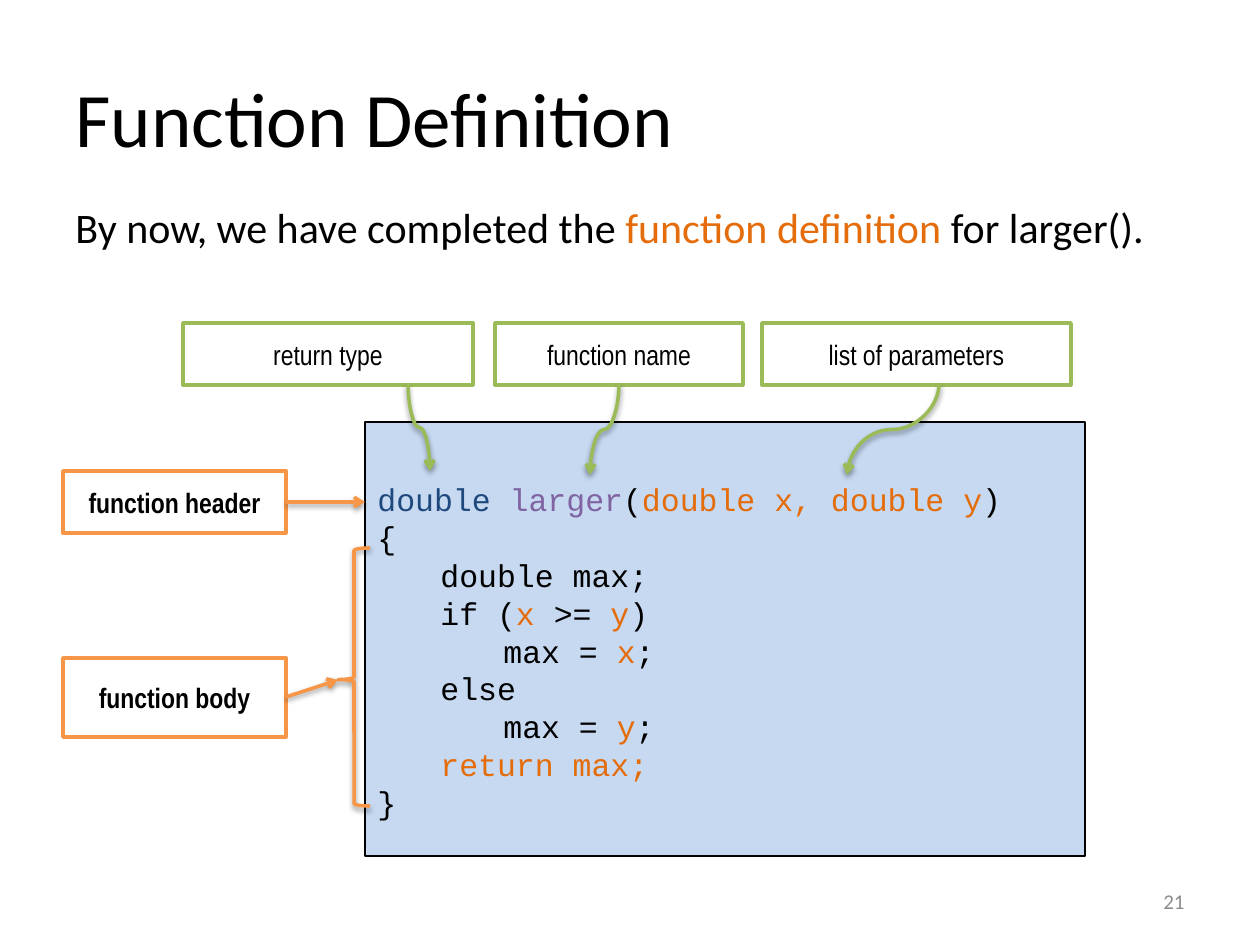
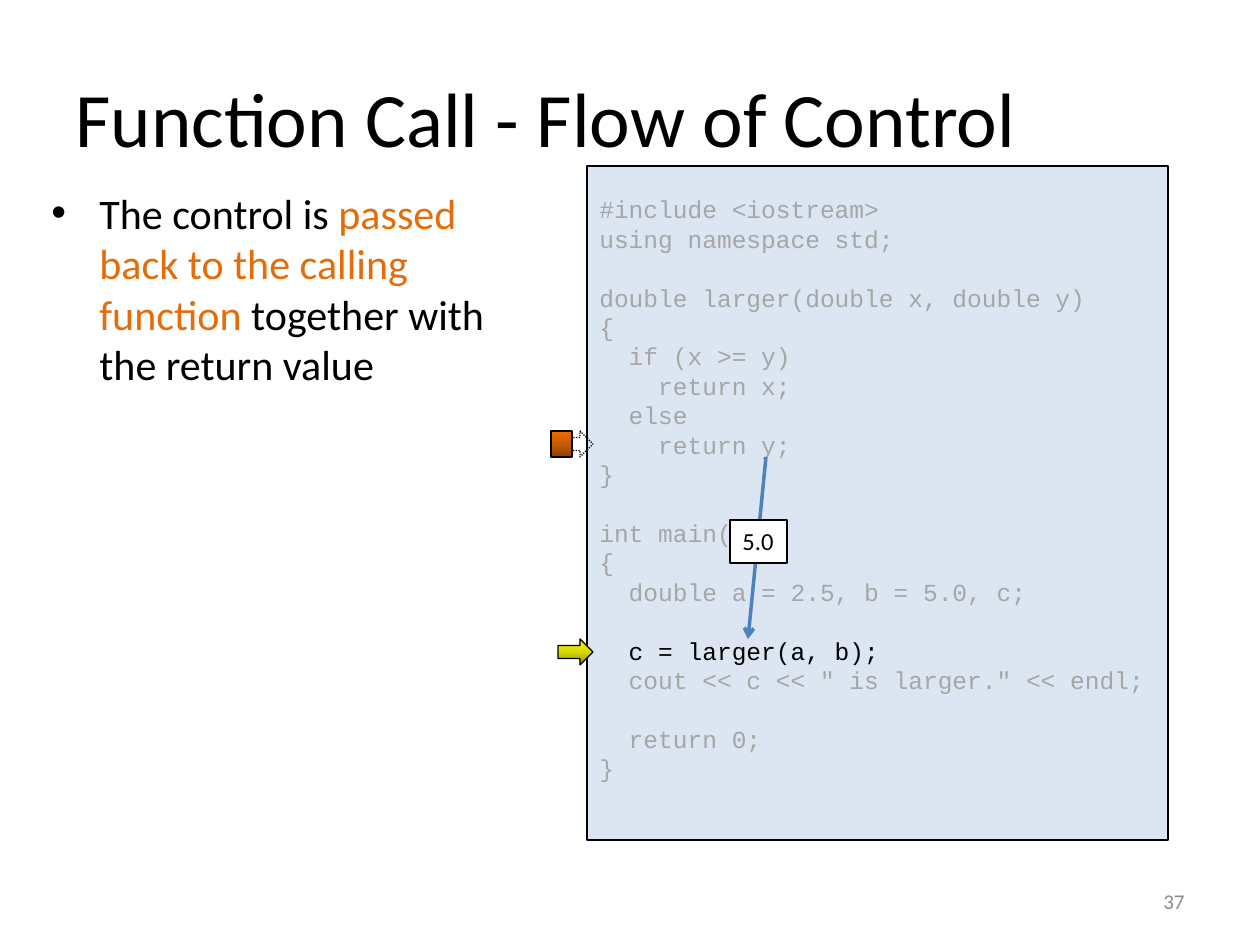
from lxml import etree
from pptx import Presentation, util as u
from pptx.dml.color import RGBColor
from pptx.enum import dml, shapes, text
from pptx.oxml.ns import qn

THEME = {
    "black": "000000", "white": "FFFFFF", "grey": "8C8C8C", "dim": "A6A6A6",
    "hot": "E46C0A", "navy": "1F497D", "violet": "8064A2", "orange": "F79646",
    "green": "9BBB59", "blue": "4F81BD", "panel": "C6D9F1", "pale": "DCE6F2",
    "sans": "Calibri", "narrow": "Arial Narrow", "mono": "Courier New",
    "title": 44, "body": 24, "code": 18, "label": 16, "small": 14, "number": 12,
}
PX = 914400 / 126
LEADING = 1.2  # code line pitch, as a multiple of the type size
YELLOW_RAMP = ["979700", "D7D700", "FFFF00"]
RUST_RAMP = ["8D4000", "C85B00", "EE6B00"]

# Content: a line is a list of runs, a run is text or (text, colour)
DEFINITION_INTRO = [["By now, we have completed the ",
                     ("function definition ", "hot"), "for larger()."]]
DEFINITION_CODE = [
    [("double ", "navy"), ("larger", "violet"), "(", ("double x, double y", "hot"), ")"],
    ["{"],
    ["\tdouble max;"],
    ["\tif (", ("x", "hot"), " >= ", ("y", "hot"), ")"],
    ["\t\tmax = ", ("x", "hot"), ";"],
    ["\telse"],
    ["\t\tmax = ", ("y", "hot"), ";"],
    ["\t", ("return max;", "hot")],
    ["}"],
]
# Label, left, width, and the curve from the label down to the code
SIGNATURE_LABELS = [
    ("return type", 183, 290, (408, 384, 430, 471)),
    ("function name", 495, 248, (619, 384, 590, 475)),
    ("list of parameters", 762, 309, (939, 384, 847, 475)),
]
# Label, top, height, and the arrow to the code
PART_LABELS = [
    ("function header", 471, 62, (286, 502, 365, 502)),
    ("function body", 658, 79, (286, 697, 338, 680)),
]
CALL_POINTS = [["The control is ", ("passed back to the calling function ", "hot"),
                "together with the return value"]]
CALL_CODE = [
    ["#include <iostream>"],
    ["using namespace std;"],
    [],
    ["double larger(double x, double y)"],
    ["{"],
    ["  if (x >= y)"],
    ["    return x;"],
    ["  else"],
    ["    return y;"],
    ["}"],
    [],
    ["int main()"],
    ["{"],
    ["  double a = 2.5, b = 5.0, c;"],
    [],
    [("  c = larger(a, b);", "black")],
    ['  cout << c << " is larger." << endl;'],
    [],
    ["  return 0;"],
    ["}"],
]


def px(n):
    return u.Emu(round(n * PX))


def rgb(name):
    return RGBColor.from_string(THEME[name])


def sub(parent, tag, **attrs):
    return etree.SubElement(parent, qn(tag), {k: str(v) for k, v in attrs.items()})


def set_effects(sp, shadow=False):
    """Add an effect list, empty unless a soft drop shadow is wanted."""
    effects = sub(sp._element.spPr, "a:effectLst")
    if shadow:
        drop = sub(effects, "a:outerShdw", blurRad=40000, dist=20000,
                   dir=5400000, rotWithShape=0)
        sub(sub(drop, "a:srgbClr", val=THEME["black"]), "a:alpha", val=38000)


def write(sp, lines, size, font="sans", color="black", align="LEFT", anchor="TOP",
          bold=False, bullet=False, leading=None, wrap=True, **insets):
    tf = sp.text_frame
    settings = {"word_wrap": wrap, "vertical_anchor": getattr(text.MSO_ANCHOR, anchor)}
    settings |= {f"margin_{side}": px(n) for side, n in insets.items()}
    for key, value in settings.items():
        setattr(tf, key, value)
    first, gap = True, 0
    for line in lines:
        if not line:  # an empty line becomes space before the next one
            gap += leading
            continue
        p = tf.paragraphs[0] if first else tf.add_paragraph()
        p.alignment = getattr(text.PP_ALIGN, align)
        if leading:
            p.line_spacing = u.Pt(leading)
            p.space_before = u.Pt(gap)
        pPr = p._p.get_or_add_pPr()
        if bullet:
            pPr.set("marL", str(px(48)))
            pPr.set("indent", str(px(-48)))
            sub(pPr, "a:buFont", typeface="Arial")
            sub(pPr, "a:buChar", char="•")
        if any("\t" in run for run in line):
            stops = sub(pPr, "a:tabLst")
            for stop in (63, 126):
                sub(stops, "a:tab", pos=px(stop), algn="l")
        for run in line:
            words, tint = run if isinstance(run, tuple) else (run, color)
            r = p.add_run()
            r.text = words
            for key, value in {"name": THEME[font], "size": u.Pt(THEME[size]),
                               "bold": bold}.items():
                setattr(r.font, key, value)
            r.font.color.rgb = rgb(tint)
        first, gap = False, 0


def add_text(s, box, lines, size, **fmt):
    write(s.shapes.add_textbox(*map(px, box)), lines, size, **fmt)


def add_shape(s, kind, box, fill=None, line="black", width=0.75, ramp=None, shadow=False):
    sp = s.shapes.add_shape(getattr(shapes.MSO_SHAPE, kind), *map(px, box))
    if ramp:
        sp.fill.gradient()
        sp.fill.gradient_angle = 90
        stops = sp._element.spPr.find(qn("a:gradFill")).find(qn("a:gsLst"))
        for old in list(stops):
            stops.remove(old)
        for i, shade in enumerate(ramp):
            sub(sub(stops, "a:gs", pos=50000 * i), "a:srgbClr", val=shade)
    elif fill:
        sp.fill.solid()
        sp.fill.fore_color.rgb = rgb(fill)
    else:
        sp.fill.background()
    sp.line.color.rgb = rgb(line)
    sp.line.width = u.Pt(width)
    if shadow:
        set_effects(sp, True)
    else:
        sp.shadow.inherit = False
    return sp


def add_arrow(s, ends, color, curved=False, shadow=True):
    x1, y1, x2, y2 = ends
    kind = shapes.MSO_CONNECTOR.STRAIGHT
    if curved:  # lay the curve on its side, then turn it to run downwards
        kind = shapes.MSO_CONNECTOR.CURVE
        cx, cy = (x1 + x2) / 2, (y1 + y2) / 2
        half_w, half_h = abs(y2 - y1) / 2, abs(x2 - x1) / 2
        ends = cx - half_w, cy - half_h, cx + half_w, cy + half_h
    cn = s.shapes.add_connector(kind, *map(px, ends))
    if curved:
        xfrm = cn._element.spPr.find(qn("a:xfrm"))
        rightward = x2 > x1
        xfrm.set("rot", str((270 if rightward else 90) * 60000))
        if rightward:
            xfrm.set("flipH", "1")
    cn.line.color.rgb = rgb(color)
    cn.line.width = u.Pt(2)
    sub(cn.line._get_or_add_ln(), "a:tailEnd", type="arrow")
    set_effects(cn, shadow)


def add_label(s, box, words, line, bold=False):
    sp = add_shape(s, "RECTANGLE", box, "white", line, 2)
    write(sp, [[words]], "label", font="narrow", align="CENTER", anchor="MIDDLE", bold=bold)


def add_code(s, box, lines, size, fill, **fmt):
    sp = add_shape(s, "RECTANGLE", box, fill)
    write(sp, lines, size, font="mono", anchor="MIDDLE",
          leading=THEME[size] * LEADING, **fmt)


def new_slide(prs, title, number):
    s = prs.slides.add_slide(prs.slide_layouts[6])
    add_text(s, (63, 38, 1134, 157), [[title]], "title", anchor="MIDDLE")
    add_text(s, (903, 876, 294, 50), [[number]], "number", color="grey",
             align="RIGHT", anchor="MIDDLE")
    return s


def definition_slide(prs):
    s = new_slide(prs, "Function Definition", "21")
    add_text(s, (63, 195, 1134, 649), DEFINITION_INTRO, "body")
    add_code(s, (365, 422, 720, 434), DEFINITION_CODE, "code", "panel", top=29)
    # Labels, then the brace and arrows that tie them to the code
    for words, top, height, _ in PART_LABELS:
        add_label(s, (63, top, 223, height), words, "orange", bold=True)
    for words, left, width, _ in SIGNATURE_LABELS:
        add_label(s, (left, 323, width, 62), words, "green")
    brace = add_shape(s, "LEFT_BRACE", (338, 548, 32, 258), None, "orange", 2, shadow=True)
    brace.adjustments[0], brace.adjustments[1] = 0.08, 0.51
    for *_, ends in PART_LABELS:
        add_arrow(s, ends, "orange")
    for *_, ends in SIGNATURE_LABELS:
        add_arrow(s, ends, "green", curved=True)


def call_slide(prs):
    s = new_slide(prs, "Function Call - Flow of Control", "37")
    add_text(s, (39, 181, 512, 677), CALL_POINTS, "body", bullet=True)
    add_code(s, (587, 166, 581, 674), CALL_CODE, "small", "pale", color="dim", bottom=35)
    # Current line, and the value handed back to it
    add_shape(s, "RIGHT_ARROW", (558, 639, 35, 26), ramp=YELLOW_RAMP)
    add_arrow(s, (766, 457, 748, 639), "blue", shadow=False)
    value = add_shape(s, "RECTANGLE", (730, 520, 57, 43), "white")
    write(value, [["5.0"]], "small", wrap=False)
    # Line where the called function stopped
    ghost = add_shape(s, "RIGHT_ARROW", (558, 431, 35, 26))
    ghost.line.dash_style = dml.MSO_LINE.ROUND_DOT
    add_shape(s, "RECTANGLE", (551, 431, 21, 26), ramp=RUST_RAMP)


def main():
    prs = Presentation()
    prs.slide_width, prs.slide_height = px(1260), px(945)
    definition_slide(prs)
    call_slide(prs)
    prs.save("out.pptx")


if __name__ == "__main__":
    main()
